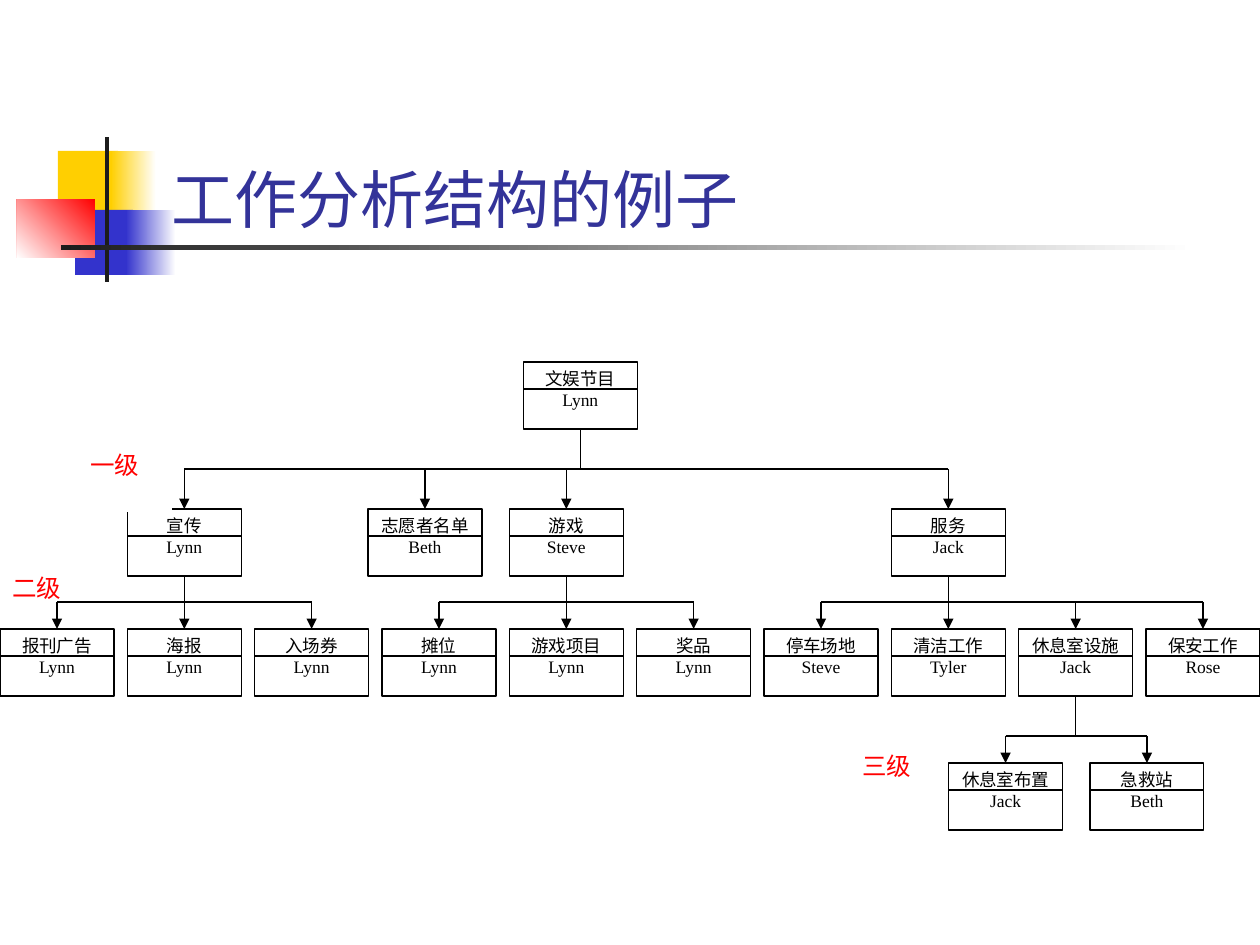
"""Build a slide with a work breakdown structure drawn as a four-row tree."""
from dataclasses import dataclass

from lxml import etree
from pptx import Presentation, util as u
from pptx.dml.color import RGBColor
from pptx.enum import shapes, text
from pptx.oxml.ns import qn

TITLE = ("工作分析结构的例子", (159, 84, 1074, 158))
BACK_LABELS = [("二级", 0, 567)]
FRONT_LABELS = [("一级", 78, 444), ("三级", 850, 745)]

# name, owner, row, column, parent
TASKS = [
    ("文娱节目", "Lynn", 0, 4.11, None),
    ("宣传", "Lynn", 1, 1, "文娱节目"),
    ("志愿者名单", "Beth", 1, 2.89, "文娱节目"),
    ("游戏", "Steve", 1, 4, "文娱节目"),
    ("服务", "Jack", 1, 7, "文娱节目"),
    ("报刊广告", "Lynn", 2, 0, "宣传"),
    ("海报", "Lynn", 2, 1, "宣传"),
    ("入场券", "Lynn", 2, 2, "宣传"),
    ("摊位", "Lynn", 2, 3, "游戏"),
    ("游戏项目", "Lynn", 2, 4, "游戏"),
    ("奖品", "Lynn", 2, 5, "游戏"),
    ("停车场地", "Steve", 2, 6, "服务"),
    ("清洁工作", "Tyler", 2, 7, "服务"),
    ("休息室设施", "Jack", 2, 8, "服务"),
    ("保安工作", "Rose", 2, 9, "服务"),
    ("休息室布置", "Jack", 3, 7.45, "休息室设施"),
    ("急救站", "Beth", 3, 8.56, "休息室设施"),
]

# position, colours from start to end, angle
ORNAMENTS = [
    ((58, 151, 60, 66), ["FFCF01"], 0),
    ((111, 151, 45, 66), ["FFFFFF", "FFCF01"], 180),
    ((75, 210, 58, 65), ["3333CC"], 0),
    ((126, 210, 50, 65), ["FFFFFF", "3333CC"], 180),
    ((17, 199, 78, 59), ["FF0000", "FFFFFF"], 225),
    ((105, 137, 4, 145), ["1C1C1C"], 0),
    ((61, 245, 1134, 5), ["FFFFFF", "1C1C1C"], 180),
]


@dataclass(frozen=True)
class Theme:
    title: str = "333399"
    label: str = "FF0000"
    ink: str = "000000"
    paper: str = "FFFFFF"
    title_font: str = "Roboto"
    body_font: str = "Times New Roman"
    title_size: int = 36
    label_size: int = 14
    task_size: int = 10
    line: float = 0.75


THEME = Theme()
PX = u.Inches(1) / 126
WIDTH, HEIGHT = 1260, 945
BOX_W, BOX_H, DIVIDER = 114, 67, 27
LABEL_W, LABEL_H = 94, 68
ROW_TOPS = [362, 509, 629, 763]
BUS_YS = [469, 602, 736]
PITCH = (WIDTH - BOX_W) / 9


def emu(*lengths):
    return [u.Emu(round(length * PX)) for length in lengths]


def write(frame, lines, font, size, colour, align):
    frame.word_wrap = True
    for index, line in enumerate(lines):
        para = frame.paragraphs[0] if index == 0 else frame.add_paragraph()
        para.text = line
        para.alignment = align
        para.font.name = font
        para.font.size = u.Pt(size)
        para.font.color.rgb = RGBColor.from_string(colour)


def add_rect(slide, place, colours, angle=0, outlined=False):
    box = slide.shapes.add_shape(shapes.MSO_SHAPE.RECTANGLE, *emu(*place))
    box.shadow.inherit = False
    if len(colours) == 1:
        box.fill.solid()
        box.fill.fore_color.rgb = RGBColor.from_string(colours[0])
    else:
        box.fill.gradient()
        box.fill.gradient_angle = angle
        for stop, colour in zip(box.fill.gradient_stops, colours):
            stop.color.rgb = RGBColor.from_string(colour)
    if outlined:
        box.line.color.rgb = RGBColor.from_string(THEME.ink)
        box.line.width = u.Pt(THEME.line)
    else:
        box.line.fill.background()
    return box


def add_line(slide, x1, y1, x2, y2, arrow=False, start=None, end=None):
    line = slide.shapes.add_connector(shapes.MSO_CONNECTOR.STRAIGHT, *emu(x1, y1, x2, y2))
    line.line.color.rgb = RGBColor.from_string(THEME.ink)
    line.line.width = u.Pt(THEME.line)
    if arrow:
        etree.SubElement(line.line._get_or_add_ln(), qn("a:tailEnd"), type="triangle")
    etree.SubElement(line._element.spPr, qn("a:effectLst"))
    if start is not None:
        line.begin_connect(start, 2)
    if end is not None:
        line.end_connect(end, 0)


def add_label(slide, name, left, top):
    box = add_rect(slide, (left, top, LABEL_W, LABEL_H), [THEME.paper])
    box.text_frame.vertical_anchor = text.MSO_ANCHOR.TOP
    write(box.text_frame, [name], THEME.body_font, THEME.label_size, THEME.label,
          text.PP_ALIGN.JUSTIFY)


def add_task(slide, name, owner, row, column):
    left, top = column * PITCH, ROW_TOPS[row]
    box = add_rect(slide, (left, top, BOX_W, BOX_H), [THEME.paper], outlined=True)
    box.text_frame.vertical_anchor = text.MSO_ANCHOR.TOP
    write(box.text_frame, [name, owner], THEME.body_font, THEME.task_size, THEME.ink,
          text.PP_ALIGN.CENTER)
    add_line(slide, left, top + DIVIDER, left + BOX_W, top + DIVIDER)
    return box


def add_branch(slide, parent, children, boxes):
    name, _, row, column, _ = parent
    bus, bottom = BUS_YS[row], ROW_TOPS[row] + BOX_H
    middle = column * PITCH + BOX_W / 2
    centres = [child[3] * PITCH + BOX_W / 2 for child in children]
    add_line(slide, min(centres), bus, max(centres), bus)
    if middle not in centres:
        add_line(slide, middle, bottom, middle, bus, start=boxes[name])
    for child, centre in zip(children, centres):
        straight = centre == middle
        add_line(slide, centre, bottom if straight else bus, centre, ROW_TOPS[row + 1],
                 arrow=True, start=boxes[name] if straight else None, end=boxes[child[0]])


def main():
    deck = Presentation()
    deck.slide_width, deck.slide_height = emu(WIDTH, HEIGHT)
    slide = deck.slides.add_slide(deck.slide_layouts[6])

    for place, colours, angle in ORNAMENTS:
        add_rect(slide, place, colours, angle)

    heading, place = TITLE
    title = slide.shapes.add_textbox(*emu(*place))
    title.text_frame.vertical_anchor = text.MSO_ANCHOR.BOTTOM
    write(title.text_frame, [heading], THEME.title_font, THEME.title_size, THEME.title,
          text.PP_ALIGN.LEFT)

    for label in BACK_LABELS:
        add_label(slide, *label)
    boxes = {task[0]: add_task(slide, *task[:4]) for task in TASKS}
    for task in TASKS:
        children = [child for child in TASKS if child[4] == task[0]]
        if children:
            add_branch(slide, task, children, boxes)
    for label in FRONT_LABELS:
        add_label(slide, *label)

    deck.save("out.pptx")


if __name__ == "__main__":
    main()
